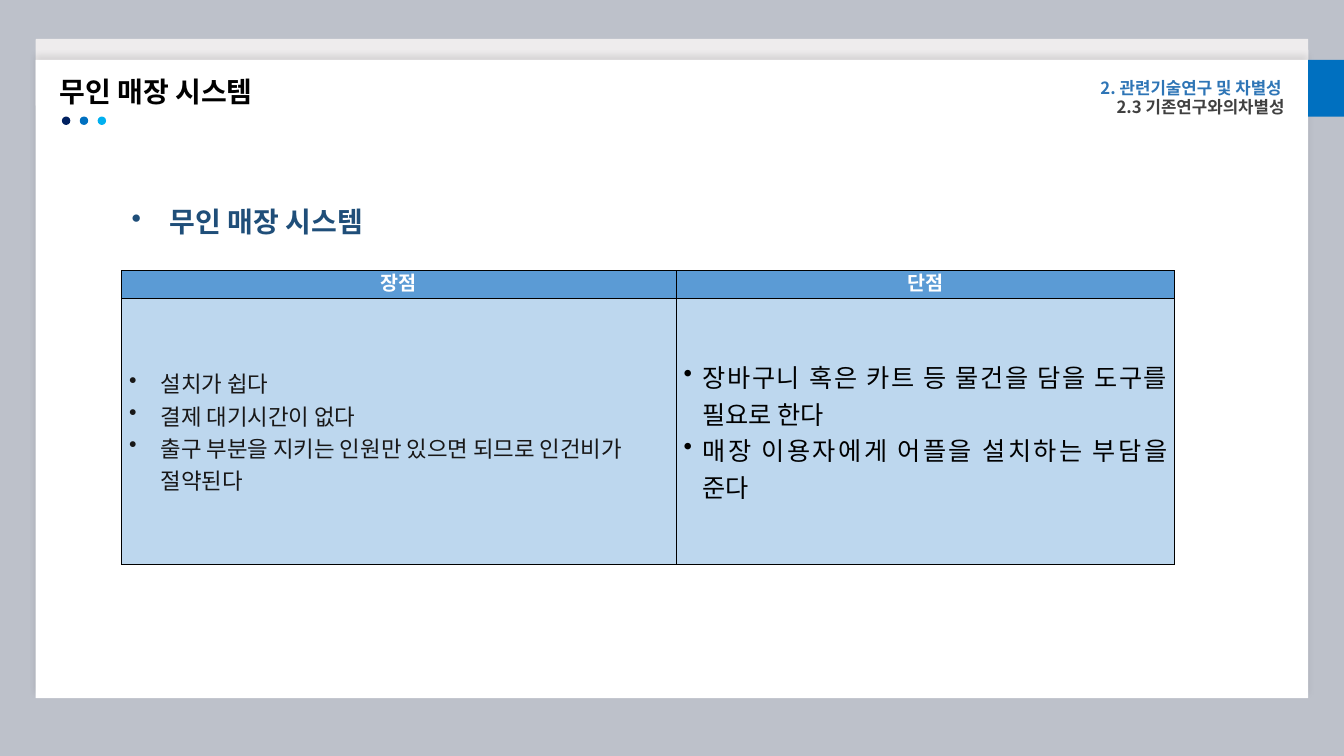
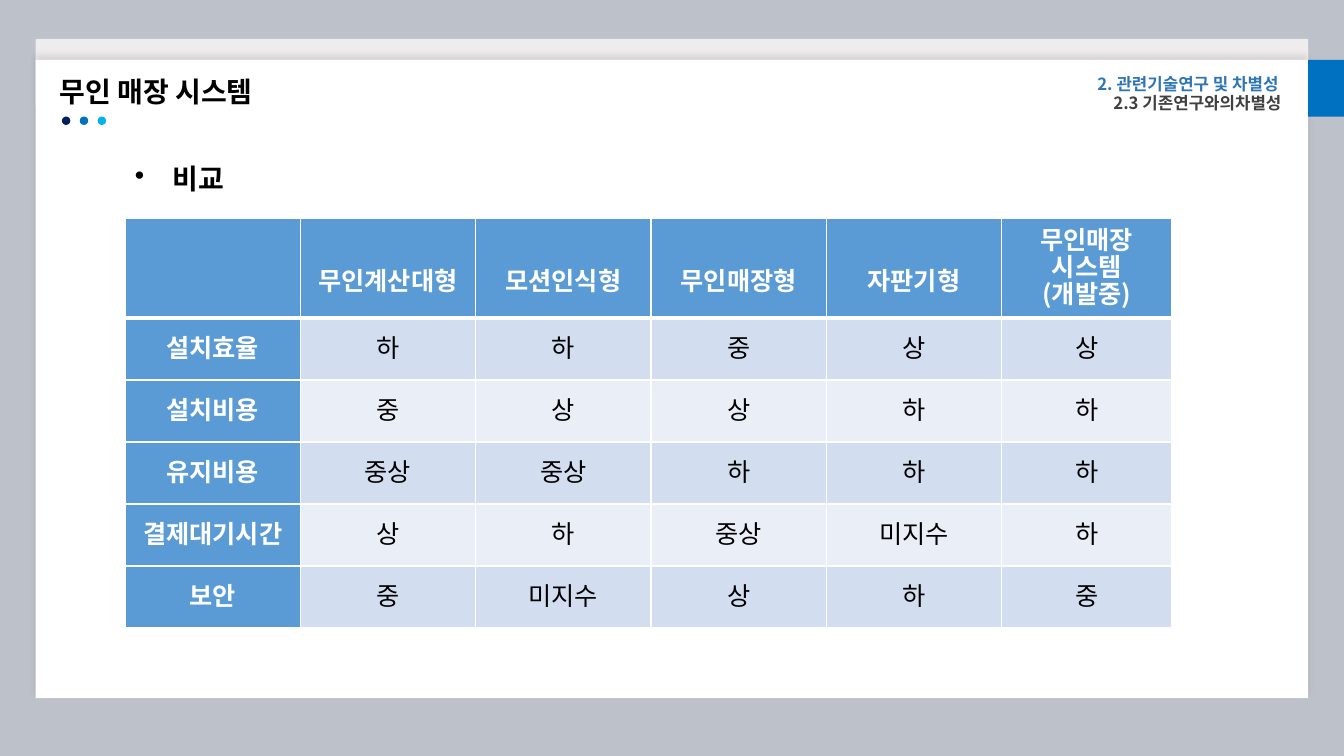
import lxml.etree
import pptx
import pptx.dml.color
import pptx.enum.shapes
import pptx.enum.text
import pptx.oxml.ns
import pptx.util

RGB = pptx.dml.color.RGBColor
SHAPE = pptx.enum.shapes.MSO_SHAPE
ALIGN = pptx.enum.text.PP_ALIGN
MIDDLE = pptx.enum.text.MSO_ANCHOR.MIDDLE
qn = pptx.oxml.ns.qn
sub = lxml.etree.SubElement

PX = 9525  # EMU per px, on a slide of 1280 x 720 px
FONT = "Noto Sans CJK KR"

BACKGROUND = RGB(0xBD, 0xC1, 0xCA)
PANEL_EDGE = RGB(0xEE, 0xEC, 0xED)
WHITE = RGB(0xFF, 0xFF, 0xFF)
BLACK = RGB(0x00, 0x00, 0x00)
INK = RGB(0x18, 0x17, 0x17)
GREY = RGB(0x40, 0x40, 0x40)
NAVY = RGB(0x00, 0x20, 0x60)
BLUE = RGB(0x00, 0x70, 0xC0)
SKY = RGB(0x00, 0xB0, 0xF0)
CHAPTER_BLUE = RGB(0x2E, 0x75, 0xB6)
HEADING_BLUE = RGB(0x1F, 0x4E, 0x79)
HEADER_FILL = RGB(0x5B, 0x9B, 0xD5)
BODY_FILL = RGB(0xBD, 0xD7, 0xEE)
BAND_FILLS = [RGB(0xD2, 0xDE, 0xEF), RGB(0xEA, 0xEF, 0xF7)]


def write(tf, text, size=18, color=BLACK, bold=False, align=ALIGN.LEFT, spacing=None, hang=0):
    """Fill a text frame, one paragraph a line; hang is the bullet indent in px."""
    for i, line in enumerate(text.split("\n")):
        p = tf.add_paragraph() if i else tf.paragraphs[0]
        if hang:
            pPr = p._p.get_or_add_pPr()
            pPr.set("marL", str(hang * PX))
            pPr.set("indent", str(-hang * PX))
            sub(pPr, qn("a:buChar"), char="•")
        p.alignment = align
        if spacing:
            p.line_spacing = spacing
        r = p.add_run()
        r.text = line
        r.font.size = pptx.util.Pt(size)
        r.font.bold = bold
        r.font.name = FONT
        sub(r.font._element, qn("a:ea"), typeface=FONT)
        r.font.color.rgb = color


def style_cell(cell, fill, border, bottom=1):
    """Set fill, margins and borders; bottom is the lower border in points."""
    cell.margin_left = cell.margin_right = 7 * PX
    cell.margin_top = cell.margin_bottom = 0
    cell.vertical_anchor = MIDDLE
    tcPr = cell._tc.get_or_add_tcPr()
    for side, width in [("L", 1), ("R", 1), ("T", 1), ("B", bottom)]:
        ln = sub(tcPr, qn("a:ln" + side), w=str(pptx.util.Pt(width)))
        sub(sub(ln, qn("a:solidFill")), qn("a:srgbClr"), val=str(border))
    cell.fill.solid()
    cell.fill.fore_color.rgb = fill


prs = pptx.Presentation()
prs.slide_width, prs.slide_height = 1280 * PX, 720 * PX

# Shared layout: background and title position
layout = prs.slide_layouts[5]
layout.background.fill.solid()
layout.background.fill.fore_color.rgb = BACKGROUND
for ph in list(layout.placeholders)[1:]:
    ph.element.getparent().remove(ph.element)
title = layout.placeholders[0]
title.left, title.top, title.width, title.height = 47 * PX, 66 * PX, 222 * PX, 42 * PX

slides = [prs.slides.add_slide(layout) for _ in range(2)]

# Shared layout: panel, side tab and dots
decor = [
    (SHAPE.ROUNDED_RECTANGLE, 34, 37, 1212, 64, PANEL_EDGE),
    (SHAPE.RECTANGLE, 34, 57, 1212, 608, WHITE),
    (SHAPE.RECTANGLE, 1246, 57, 34, 54, BLUE),
]
decor += [(SHAPE.OVAL, 59 + 17 * i, 111, 8, 8, c) for i, c in enumerate([NAVY, BLUE, SKY])]
parts = []
for kind, x, y, w, h, color in decor:
    sp = slides[0].shapes.add_shape(kind, x * PX, y * PX, w * PX, h * PX)
    sp.fill.solid()
    sp.fill.fore_color.rgb = color
    sp.line.fill.background()
    sp.shadow.inherit = False
    parts.append(sp)
parts[0].adjustments[0] = 0.015
effects = parts[1].element.spPr.find(qn("a:effectLst"))
shadow = sub(effects, qn("a:outerShdw"), blurRad=str(pptx.util.Pt(4)),
             dist=str(pptx.util.Pt(3)), dir="16200000", algn="b", rotWithShape="0")
sub(sub(shadow, qn("a:srgbClr"), val=str(BLACK)), qn("a:alpha"), val="10000")
for sp in parts:
    layout.shapes.element.append(sp.element)

# Title, chapter labels, heading and empty table of each slide
pages = [
    dict(heading="무인 매장 시스템", color=HEADING_BLUE, at=(116, 190), shift=(0, 0),
         table=(116, 258), cols=[528, 475], rows=[26, 254]),
    dict(heading="비교", color=BLACK, at=(119, 149), shift=(-3, -4),
         table=(119, 208), cols=[167] * 5 + [162], rows=[95] + [59] * 5),
]
tables = []
for s, page in zip(slides, pages):
    tf = s.shapes.title.text_frame
    tf.vertical_anchor = MIDDLE
    write(tf, "무인 매장 시스템", size=20, bold=True)

    dx, dy = page["shift"]
    labels = [
        ("2.3 기존연구와의차별성", 1041 + dx, 87 + dy, 205, 29,
         dict(size=12, color=GREY, align=ALIGN.CENTER)),
        ("2. 관련기술연구 및 차별성", 1028 + dx, 69 + dy, 213, 29,
         dict(size=12, color=CHAPTER_BLUE, align=ALIGN.CENTER)),
        (page["heading"], *page["at"], 263, 42,
         dict(size=20, color=page["color"], hang=36)),
    ]
    for text, x, y, w, h, style in labels:
        tf = s.shapes.add_textbox(x * PX, y * PX, w * PX, h * PX).text_frame
        tf.word_wrap = True
        tf.vertical_anchor = MIDDLE
        write(tf, text, bold=True, **style)

    x, y = page["table"]
    cols, rows = page["cols"], page["rows"]
    table = s.shapes.add_table(len(rows), len(cols), x * PX, y * PX,
                               sum(cols) * PX, sum(rows) * PX).table
    table.horz_banding = False
    for col, w in zip(table.columns, cols):
        col.width = w * PX
    for row, h in zip(table.rows, rows):
        row.height = h * PX
    tables.append(table)

pros_cons, comparison = tables
label_style = dict(color=WHITE, bold=True, align=ALIGN.CENTER, spacing=0.75)

# Slide 1: advantages and drawbacks
pros = "설치가 쉽다\n결제 대기시간이 없다\n출구 부분을 지키는 인원만 있으면 되므로 인건비가 절약된다"
cons = "장바구니 혹은 카트 등 물건을 담을 도구를 필요로 한다\n매장 이용자에게 어플을 설치하는 부담을 준다"
columns = [
    ("장점", pros, dict(size=16, color=INK, hang=30)),
    ("단점", cons, dict(size=18, align=ALIGN.JUSTIFY, hang=18)),
]
for c, (head, body, style) in enumerate(columns):
    cell = pros_cons.cell(0, c)
    style_cell(cell, HEADER_FILL, BLACK)
    write(cell.text_frame, head, size=14, **label_style)
    cell = pros_cons.cell(1, c)
    style_cell(cell, BODY_FILL, BLACK)
    write(cell.text_frame, body, **style)

# Slide 2: comparison of shop types
grid = [
    ["", "무인계산대형", "모션인식형", "무인매장형", "자판기형", "무인매장\n시스템\n(개발중)"],
    ["설치효율", "하", "하", "중", "상", "상"],
    ["설치비용", "중", "상", "상", "하", "하"],
    ["유지비용", "중상", "중상", "하", "하", "하"],
    ["결제대기시간", "상", "하", "중상", "미지수", "하"],
    ["보안", "중", "미지수", "상", "하", "중"],
]
for i, line in enumerate(grid):
    for j, text in enumerate(line):
        cell = comparison.cell(i, j)
        is_label = i == 0 or j == 0
        fill = HEADER_FILL if is_label else BAND_FILLS[(i - 1) % 2]
        style_cell(cell, fill, WHITE, bottom=1 if i else 3)
        if i == 0 and "\n" not in text:
            cell.margin_top = 26 * PX  # short headers sit below the middle
        if text:
            style = label_style if is_label else dict(label_style, color=BLACK, bold=False)
            write(cell.text_frame, text, **style)

prs.save("out.pptx")
